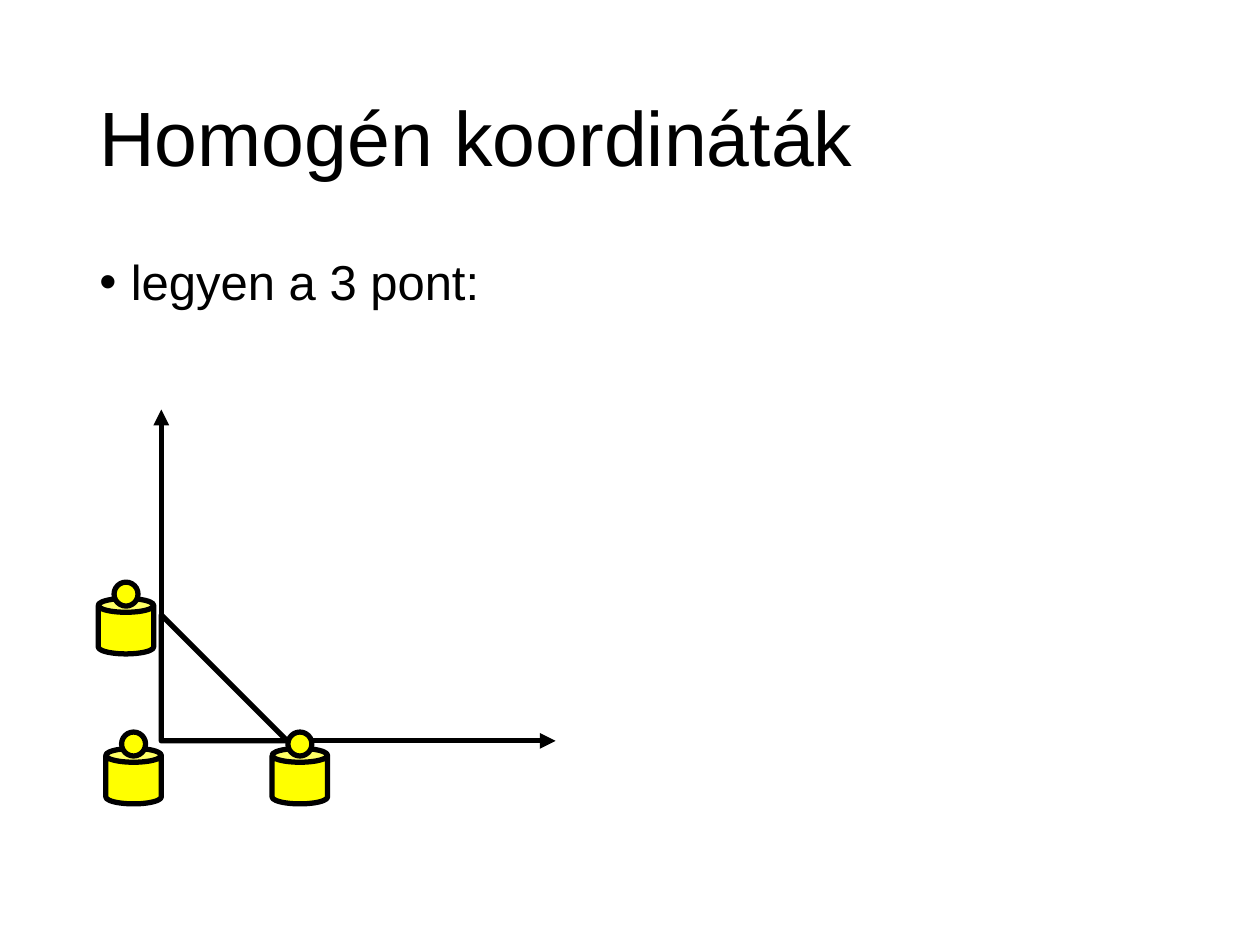
from dataclasses import dataclass

from lxml import etree
from pptx import Presentation
from pptx.dml.color import RGBColor
from pptx.enum import shapes as kinds, text as styles
from pptx.oxml import ns
from pptx.util import Inches, Pt


@dataclass(frozen=True)
class Theme:
    """Colours, font and sizes of the slide."""
    ink: RGBColor = RGBColor(0, 0, 0)
    marker: RGBColor = RGBColor(255, 255, 0)
    font: str = "Arial"
    title: Pt = Pt(44)
    body: Pt = Pt(28)
    stroke: Pt = Pt(3)


@dataclass(frozen=True)
class Point:
    """A position on the slide in inches."""
    x: float
    y: float

    def shifted(self, dx: float = 0, dy: float = 0) -> "Point":
        """Return the point moved by the given inches."""
        return Point(self.x + dx, self.y + dy)


THEME = Theme()
ORIGIN = Point(1.28, 5.88)
AXIS_ENDS = (Point(1.28, 3.25), Point(4.41, 5.88))
PAWNS = (Point(2.16, 5.94), Point(0.78, 4.75), Point(0.84, 5.94))
CAN_SIZE, HEAD_SIZE = 0.44, 0.19


def add_text(slide, content: str, *, top: float, height: float, size: Pt,
             anchor=styles.MSO_ANCHOR.TOP, bullet: str = "", indent: float = 0) -> None:
    """Add one paragraph in a full-width text box."""
    box = slide.shapes.add_textbox(Inches(0.69), Inches(top), Inches(8.62), Inches(height))
    frame = box.text_frame
    frame.word_wrap = True
    frame.vertical_anchor = anchor
    paragraph = frame.paragraphs[0]
    paragraph.text = content
    paragraph.line_spacing = 0.9
    if bullet:
        properties = paragraph._p.get_or_add_pPr()
        properties.set("marL", str(Inches(indent)))
        properties.set("indent", str(-Inches(indent)))
        etree.SubElement(properties, ns.qn("a:buFont"), typeface=THEME.font)
        etree.SubElement(properties, ns.qn("a:buChar"), char=bullet)
    font = paragraph.runs[0].font
    font.name, font.size = THEME.font, size
    font.color.rgb = THEME.ink


def outline(line) -> None:
    """Apply the common stroke."""
    line.color.rgb = THEME.ink
    line.width = THEME.stroke


def add_axis(slide, end: Point) -> None:
    """Draw an arrow from the origin."""
    axis = slide.shapes.add_connector(
        kinds.MSO_CONNECTOR.STRAIGHT,
        *(Inches(value) for value in (ORIGIN.x, ORIGIN.y, end.x, end.y)))
    outline(axis.line)
    etree.SubElement(axis.line._get_or_add_ln(), ns.qn("a:tailEnd"), type="triangle")
    etree.SubElement(axis._element.spPr, ns.qn("a:effectLst"))


def add_triangle(slide, side: float) -> None:
    """Draw the right triangle at the origin."""
    corners = (ORIGIN.shifted(dx=side), ORIGIN.shifted(dy=-side))
    builder = slide.shapes.build_freeform(Inches(ORIGIN.x), Inches(ORIGIN.y))
    builder.add_line_segments([(Inches(p.x), Inches(p.y)) for p in corners], close=True)
    triangle = builder.convert_to_shape()
    triangle.shadow.inherit = False
    triangle.fill.background()
    outline(triangle.line)


def add_pawn(slide, corner: Point) -> None:
    """Draw a grouped can with a round head centred over it."""
    pawn = slide.shapes.add_group_shape()
    head = corner.shifted((CAN_SIZE - HEAD_SIZE) / 2, -0.13)
    for kind, place, size in ((kinds.MSO_SHAPE.CAN, corner, CAN_SIZE),
                              (kinds.MSO_SHAPE.OVAL, head, HEAD_SIZE)):
        part = pawn.shapes.add_shape(kind, Inches(place.x), Inches(place.y),
                                     Inches(size), Inches(size))
        part.shadow.inherit = False
        part.fill.solid()
        part.fill.fore_color.rgb = THEME.marker
        outline(part.line)


def main() -> None:
    """Build and save the slide."""
    deck = Presentation()
    deck.slide_width, deck.slide_height = Inches(10), Inches(7.5)
    slide = deck.slides.add_slide(deck.slide_layouts[6])
    add_text(slide, "Homogén koordináták", top=0.4, height=1.45, size=THEME.title,
             anchor=styles.MSO_ANCHOR.MIDDLE)
    add_text(slide, "legyen a 3 pont:", top=2, height=5.43, size=THEME.body,
             bullet="•", indent=0.25)
    for end in AXIS_ENDS:
        add_axis(slide, end)
    add_triangle(slide, side=1)
    for corner in PAWNS:
        add_pawn(slide, corner)
    deck.save("out.pptx")


if __name__ == "__main__":
    main()
